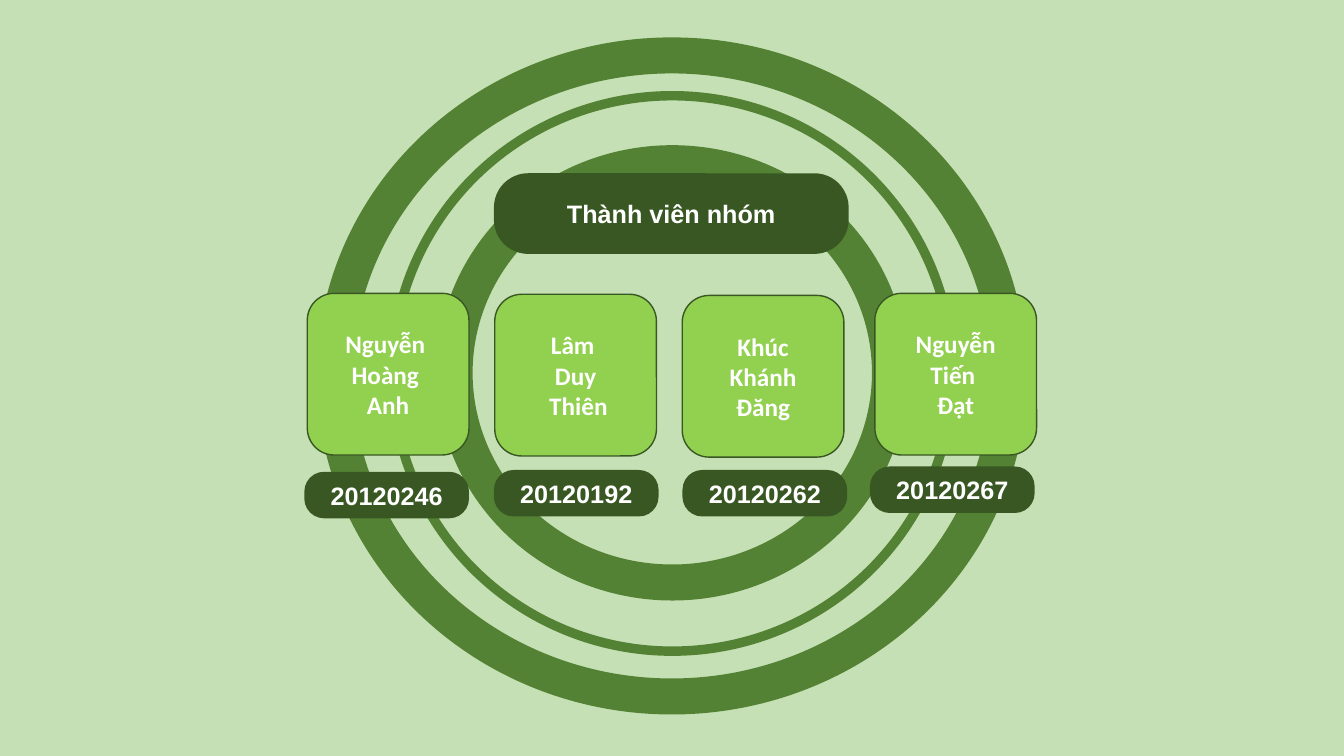
import pptx
import pptx.util
import pptx.dml.color
import pptx.enum.shapes
import pptx.enum.text

Pt = pptx.util.Pt
RGBColor = pptx.dml.color.RGBColor
MSO_SHAPE = pptx.enum.shapes.MSO_SHAPE

PALE_GREEN = RGBColor(0xC5, 0xE0, 0xB4)
RING_GREEN = RGBColor(0x54, 0x82, 0x35)
DARK_GREEN = RGBColor(0x38, 0x57, 0x23)
LIME = RGBColor(0x92, 0xD0, 0x50)
WHITE = RGBColor(0xFF, 0xFF, 0xFF)

TITLE = "Thành viên nhóm"
TITLE_BOX = (352.8, 123.8, 253.4, 57.6)

RINGS = [
    ((239, 39.6, 481.7, 457.9), 25.75),
    ((280.1, 68.4, 400.3, 396.7), 6.75),
    ((324.7, 116.6, 311, 299.5), 25.75),
]

MEMBERS = [
    {"name": ["Nguyễn ", "Hoàng ", "Anh"], "number": "20120246",
     "card": (219.5, 209.5), "badge": (217.4, 337)},
    {"name": ["Lâm ", "Duy", " Thiên"], "number": "20120192",
     "card": (353.4, 210.2), "badge": (352.8, 335.7)},
    {"name": ["Khúc", "Khánh", "Đăng"], "number": "20120262",
     "card": (487.3, 211), "badge": (487.5, 335.7)},
    {"name": ["Nguyễn Tiến ", "Đạt"], "number": "20120267",
     "card": (624.9, 209.5), "badge": (621.4, 333.2)},
]
CARD_SIZE = (115.5, 115.5)
BADGE_SIZE = (117.6, 33.2)
BADGE_ROUNDING = 0.424


def add_shape(slide, kind, box, fill=None, line=None, line_width=1):
    shape = slide.shapes.add_shape(kind, *(Pt(length) for length in box))
    shape.shadow.inherit = False
    if fill is None:
        shape.fill.background()
    else:
        shape.fill.solid()
        shape.fill.fore_color.rgb = fill
    if line is None:
        shape.line.fill.background()
    else:
        shape.line.color.rgb = line
        shape.line.width = Pt(line_width)
    return shape


def write_text(shape, lines, font="Arial", size=18, color=WHITE, bold=True):
    frame = shape.text_frame
    frame.word_wrap = True
    frame.vertical_anchor = pptx.enum.text.MSO_ANCHOR.MIDDLE
    for index, line in enumerate(lines):
        paragraph = frame.add_paragraph() if index else frame.paragraphs[0]
        paragraph.alignment = pptx.enum.text.PP_ALIGN.CENTER
        run = paragraph.add_run()
        run.text = line
        run.font.name = font
        run.font.size = Pt(size)
        run.font.color.rgb = color
        run.font.bold = bold


def add_badge(slide, box, text):
    badge = add_shape(slide, MSO_SHAPE.ROUNDED_RECTANGLE, box, fill=DARK_GREEN)
    badge.adjustments[0] = BADGE_ROUNDING
    write_text(badge, [text])


def main():
    presentation = pptx.Presentation()
    presentation.slide_width = Pt(960)
    presentation.slide_height = Pt(540)
    slide = presentation.slides.add_slide(presentation.slide_layouts[6])
    slide.background.fill.solid()
    slide.background.fill.fore_color.rgb = PALE_GREEN

    for box, width in RINGS:
        add_shape(slide, MSO_SHAPE.OVAL, box, line=RING_GREEN, line_width=width)
    for member in MEMBERS:
        add_badge(slide, member["badge"] + BADGE_SIZE, member["number"])
    add_badge(slide, TITLE_BOX, TITLE)
    for member in MEMBERS:
        card = add_shape(slide, MSO_SHAPE.ROUNDED_RECTANGLE,
                         member["card"] + CARD_SIZE, fill=LIME, line=DARK_GREEN)
        write_text(card, member["name"], font="Calibri")

    presentation.save("out.pptx")


if __name__ == "__main__":
    main()
